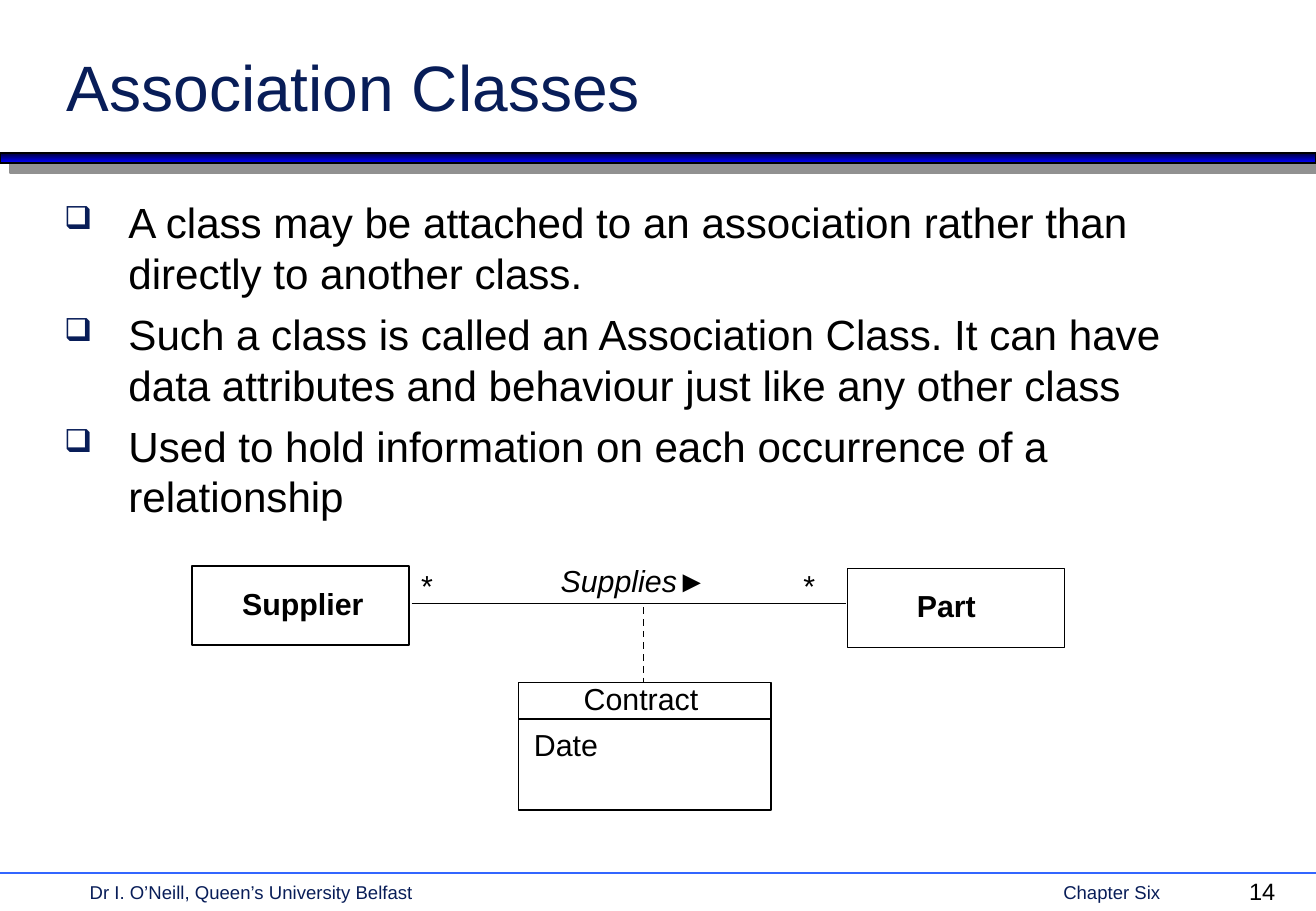
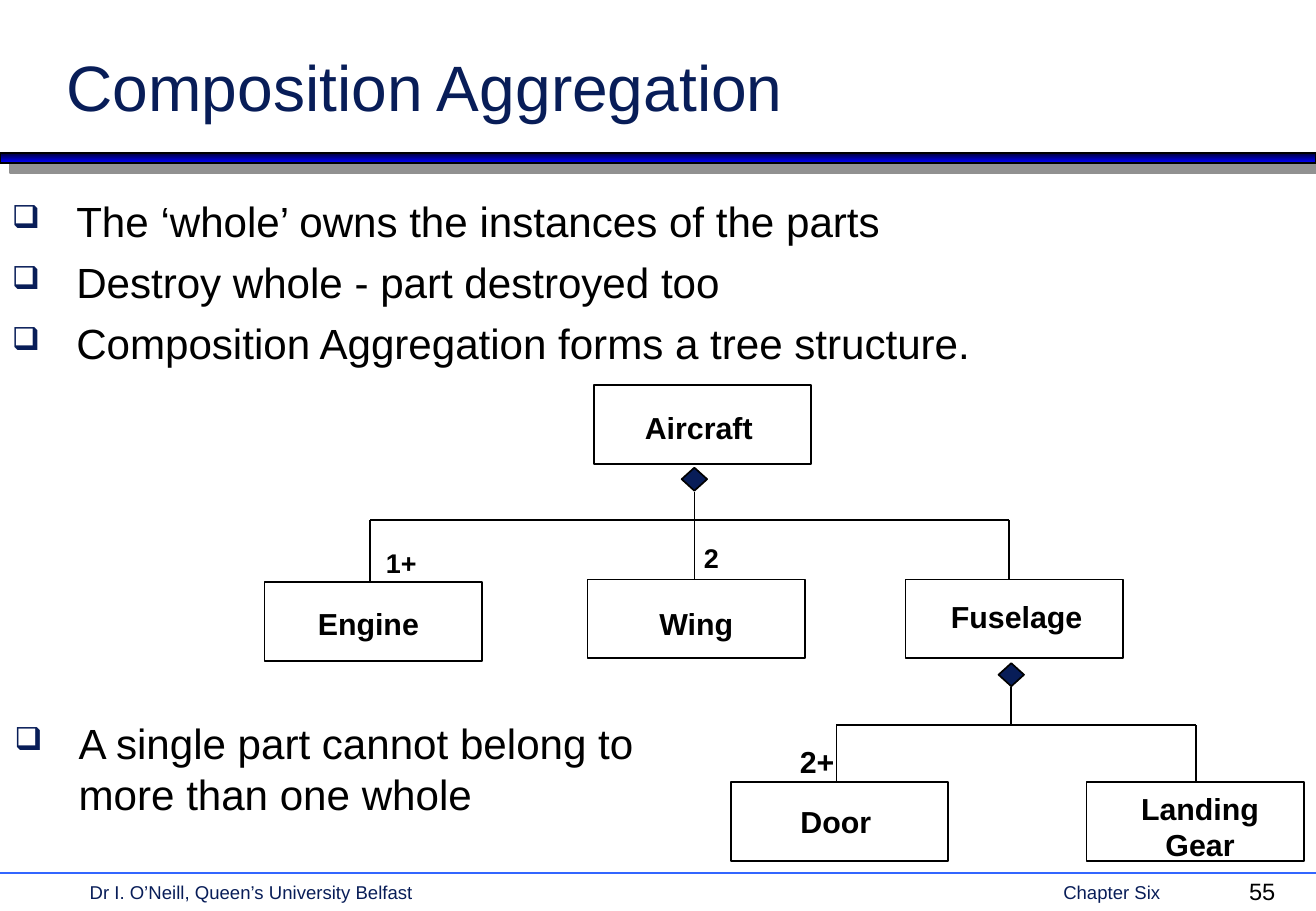
from lxml import etree
from pptx import Presentation
from pptx import util as u
from pptx.dml.color import RGBColor
from pptx.enum import dml, shapes, text
from pptx.oxml import ns

COLORS = dict(navy="081D58", black="000000", white="FFFFFF", rule="3366FF",
              band_top="000036", band_bottom="0000FF", shadow="919191")
FONT = "Arial"
CELL = u.Inches(0.1)  # one grid column or row
COLS, ROWS = 108.4, 75
CLASS_W, CLASS_H = 17.9, 6.5
DIAMOND_W, DIAMOND_H = 2.1, 1.9

TITLE = dict(size=38, color="navy")
BODY = dict(size=25)
FOOTER = dict(size=11, color="navy")
NUMBER = dict(size=14)
LABEL = dict(size=18)
BOLD = dict(size=18, bold=True)
SMALL_BOLD = dict(size=16, bold=True)
ITALIC = dict(size=18, italic=True)


def rgb(name):
    return RGBColor.from_string(COLORS[name])


def cells(*values):
    return [round(v * CELL) for v in values]


def add_xml(parent, tag, **attrs):
    return etree.SubElement(parent, ns.qn(tag), attrs)


def style_text(p, size, color="black", **fmt):
    p.font.color.rgb = rgb(color)
    for name, value in dict(name=FONT, size=u.Pt(size), **fmt).items():
        setattr(p.font, name, value)


def add_text(s, box, content, fmt, **frame):
    sp = s.shapes.add_textbox(*cells(*box))
    tf = sp.text_frame
    for name, value in dict(word_wrap=True, **frame).items():
        setattr(tf, name, value)
    tf.text = content
    for p in tf.paragraphs:
        style_text(p, **fmt)
    return tf


def add_filled(s, kind, box, fill):
    sp = s.shapes.add_shape(kind, *cells(*box))
    sp.shadow.inherit = False
    sp.fill.solid()
    sp.fill.fore_color.rgb = rgb(fill)
    sp.line.color.rgb = rgb("black")
    sp.line.width = u.Pt(1)
    return sp


def add_line(s, x1, y1, x2, y2, color="black", dash=None):
    ln = s.shapes.add_connector(shapes.MSO_CONNECTOR.STRAIGHT,
                                *cells(x1, y1, x2, y2))
    ln.line.color.rgb = rgb(color)
    ln.line.width = u.Pt(1)
    if dash:
        ln.line.dash_style = dash
    add_xml(ln._element.spPr, "a:effectLst")


def add_band(s, box):
    """Gradient bar with a hard grey shadow down and to the right."""
    sp = add_filled(s, shapes.MSO_SHAPE.RECTANGLE, box, "navy")
    sp.fill.gradient()
    sp.fill.gradient_angle = 270
    for stop, position, color in zip(sp.fill.gradient_stops, (0, 1),
                                     ("band_top", "band_bottom")):
        stop.position = position
        stop.color.rgb = rgb(color)
    effects = sp._element.spPr.find(ns.qn("a:effectLst"))
    shadow = add_xml(effects, "a:outerShdw", dist=str(u.Pt(8.5)),
                     dir="2700000", algn="ctr", rotWithShape="0")
    add_xml(shadow, "a:srgbClr", val=COLORS["shadow"])


def add_footer(s, y, number):
    add_line(s, 0, y, COLS, y, "rule")
    tf = add_text(s, (6.4, y + 0.1, 94.6, 3),
                  "Dr I. O’Neill, Queen’s University Belfast\tChapter Six", FOOTER)
    pPr = tf.paragraphs[0]._p.get_or_add_pPr()
    tabs = etree.Element(ns.qn("a:tabLst"))
    add_xml(tabs, "a:tab", pos=str(u.Inches(8.02)), algn="l")
    pPr.insert(0, tabs)
    add_text(s, (101.9, y - 0.2, 5.8, 3.4), str(number), NUMBER)


def new_slide(prs, title, number):
    s = prs.slides.add_slide(prs.slide_layouts[6])
    add_band(s, (0, 12.6, COLS, 0.8))
    add_footer(s, 71.9, number)
    add_text(s, (4.5, 2.9, 92.5, 7.8), title, TITLE,
             vertical_anchor=text.MSO_ANCHOR.BOTTOM)
    return s


def add_bullets(s, box, items):
    tf = add_text(s, box, "\n".join(items), BODY)
    for i, p in enumerate(tf.paragraphs):
        pPr = p._p.get_or_add_pPr()
        indent = u.Inches(0.53)
        pPr.set("marL", str(indent))
        pPr.set("indent", str(-indent))
        bullet = etree.Element("bullet")
        add_xml(add_xml(bullet, "a:buClr"), "a:srgbClr", val=COLORS["navy"])
        add_xml(bullet, "a:buSzPct", val="75000")
        add_xml(bullet, "a:buChar", char="❑")
        for place, part in enumerate(list(bullet)):
            pPr.insert(place, part)
        if i:
            p.space_before = u.Pt(6.2)


def add_class(s, x, y, name, dx=0, dy=0):
    """Class box whose centred name is nudged by dx, dy."""
    sp = add_filled(s, shapes.MSO_SHAPE.RECTANGLE, (x, y, CLASS_W, CLASS_H), "white")
    tf = sp.text_frame
    tf.text = name
    tf.word_wrap = True
    tf.vertical_anchor = text.MSO_ANCHOR.MIDDLE
    margins = cells(2 + dx, 2 - dx, 0.4 + dy, 0.4 - dy)
    for side, margin in zip(("left", "right", "top", "bottom"), margins):
        setattr(tf, "margin_" + side, margin)
    p = tf.paragraphs[0]
    p.alignment = text.PP_ALIGN.CENTER
    style_text(p, **BOLD)


def add_association_class(s, x, y, w, h, name, attribute):
    add_filled(s, shapes.MSO_SHAPE.RECTANGLE, (x, y, w, h), "white")
    add_line(s, x, y + 3, x + w, y + 3)
    add_text(s, (x + 4.4, y - 0.7, 14, 4), name, LABEL)
    add_text(s, (x + 0.3, y + 3.1, 14, 4), attribute, LABEL)


def add_association(s, x, y):
    """Two classes, the line between them and its association class."""
    part_x, line_y = x + 54, y + 3.1
    add_class(s, x, y, "Supplier", 0.2, -0.2)
    add_class(s, part_x, y + 0.2, "Part", -0.8, -0.2)
    add_line(s, x + CLASS_W + 0.2, line_y, part_x - 0.1, line_y)
    add_text(s, (x + 29.4, y - 0.8, 16, 4), "Supplies►", ITALIC)
    for star_x in (x + CLASS_W, x + 49.4):
        add_text(s, (star_x, y - 0.4, 3.9, 4), "*", LABEL)
    add_line(s, x + 37.2, line_y + 0.3, x + 37.2, y + 9.6,
             dash=dml.MSO_LINE.DASH)
    add_association_class(s, x + 26.9, y + 9.6, 20.8, 10.5, "Contract", "Date")


def add_composition(s, x, y, bus_y, parts):
    """Diamond with its top at x, y, a bus, and a drop to each (x, y) part."""
    add_filled(s, shapes.MSO_SHAPE.DIAMOND,
               (x - DIAMOND_W / 2, y, DIAMOND_W, DIAMOND_H), "navy")
    add_line(s, x, y + DIAMOND_H + 0.1, x, bus_y)
    add_line(s, parts[0][0], bus_y, parts[-1][0], bus_y)
    for part_x, part_y in parts:
        add_line(s, part_x, bus_y, part_x, part_y)


def add_aircraft_tree(s, x, y):
    """Aircraft tree; x is the left of Engine, y the top of Aircraft."""
    for col, row, name, dx, dy in (
            (27.1, 0, "Aircraft", -0.3, 0.2),
            (0, 16.2, "Engine", -0.4, 0.2),
            (26.6, 16, "Wing", 0, 0.4),
            (52.8, 16, "Fuselage", 0.2, -0.2),
            (38.4, 32.7, "Door", -0.3, 0),
            (67.7, 32.7, "Landing\vGear", 0.4, 0.4)):
        add_class(s, x + col, y + row, name, dx, dy)
    add_composition(s, x + 35.4, y + 6.8, y + 11.1,
                    [(x + 8.7, y + 16.2), (x + 35.4, y + 16), (x + 61.3, y + 16)])
    add_composition(s, x + 61.5, y + 22.9, y + 28,
                    [(x + 47.1, y + 32.7), (x + 76.7, y + 32.7)])
    for col, row, count, fmt in ((9, 12.8, "1+", SMALL_BOLD),
                                 (35.2, 12.4, "2", SMALL_BOLD),
                                 (43.1, 29, "2+", BOLD)):
        add_text(s, (x + col, y + row, 6, 4), count, fmt)


def main():
    prs = Presentation()
    prs.slide_width, prs.slide_height = cells(COLS, ROWS)

    s = new_slide(prs, "Association Classes", 14)
    add_bullets(s, (4.3, 15.7, 99.9, 28), [
        "A class may be attached to an association rather than directly to another class.",
        "Such a class is called an Association Class. It can have data attributes "
        "and behaviour just like any other class",
        "Used to hold information on each occurrence of a relationship"])
    add_association(s, 15.8, 46.6)

    s = new_slide(prs, "Composition Aggregation", 55)
    add_bullets(s, (0, 15.6, 99.9, 16), [
        "The ‘whole’ owns the instances of the parts",
        "Destroy whole - part destroyed too",
        "Composition Aggregation forms a tree structure."])
    add_aircraft_tree(s, 21.8, 31.7)
    add_bullets(s, (0.2, 58.6, 59, 9),
                ["A single part cannot belong to\vmore than one whole"])

    prs.save("out.pptx")


if __name__ == "__main__":
    main()
